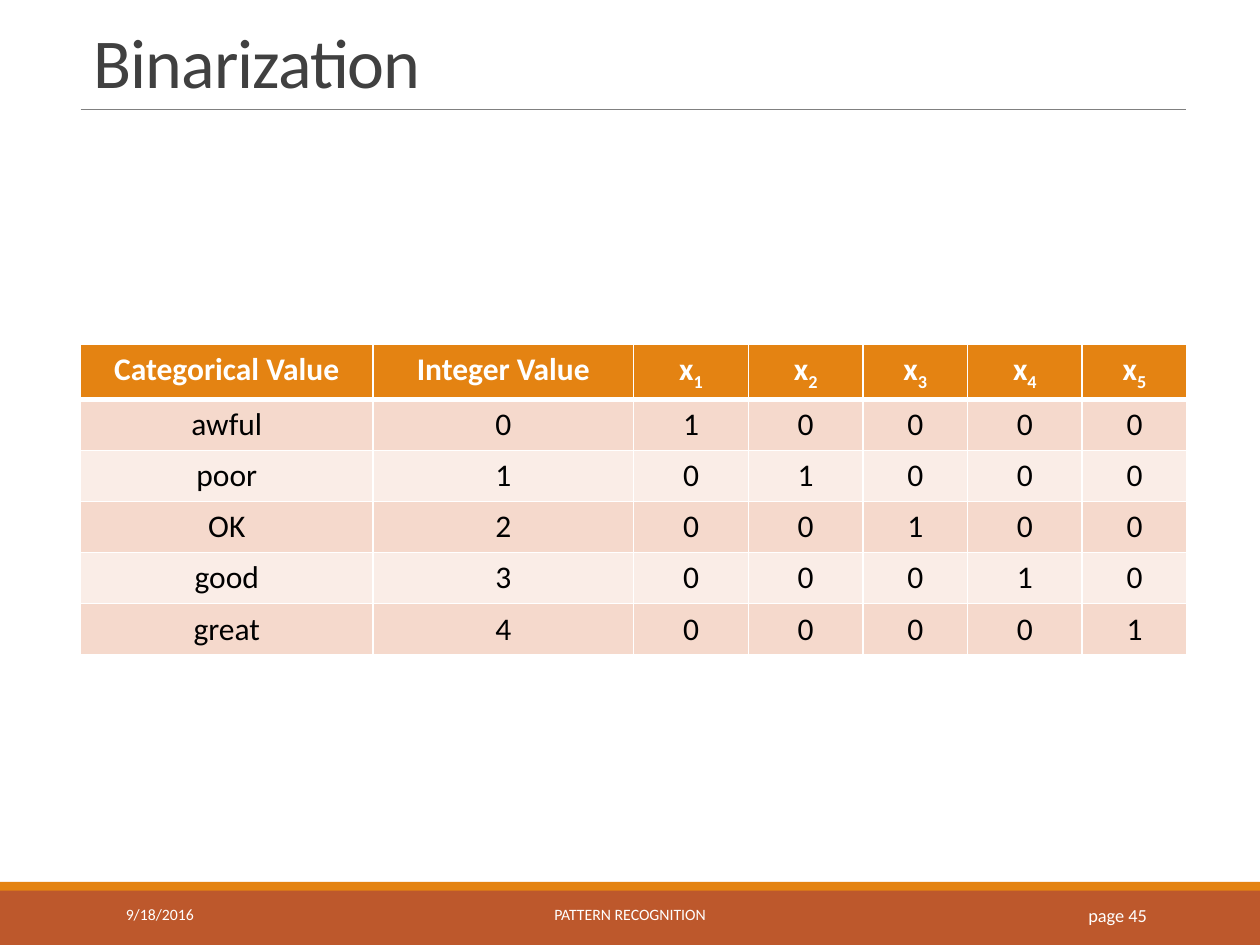
from dataclasses import dataclass

from lxml.etree import SubElement
from pptx import Presentation
from pptx.dml.color import RGBColor
from pptx.enum.shapes import MSO_CONNECTOR, MSO_SHAPE
from pptx.enum.text import MSO_ANCHOR, PP_ALIGN
from pptx.oxml.ns import qn
from pptx.util import Inches, Pt


@dataclass(frozen=True)
class Theme:
    font: str = "Calibri"
    white: str = "FFFFFF"
    black: str = "000000"
    title: str = "404040"
    rule: str = "808080"
    orange: str = "E48312"
    rust: str = "BD582C"
    bands: tuple = ("F5D9CC", "FAEDE7")
    title_size: float = 40
    table_size: float = 18
    footer_size: float = 9
    page_size: float = 10.5


class SlideBuilder:
    def __init__(self, slide, theme):
        self.slide = slide
        self.theme = theme

    def add_run(self, paragraph, text, size, color, bold=False):
        run = paragraph.add_run()
        run.text = text
        run.font.name = self.theme.font
        run.font.size = Pt(size)
        run.font.bold = bold
        run.font.color.rgb = RGBColor.from_string(color)
        return run

    def title(self, text, left, top, width, height):
        shape = self.slide.shapes.title
        shape.left, shape.top = Inches(left), Inches(top)
        shape.width, shape.height = Inches(width), Inches(height)
        shape.text_frame.vertical_anchor = MSO_ANCHOR.BOTTOM
        paragraph = shape.text_frame.paragraphs[0]
        paragraph.alignment = PP_ALIGN.LEFT
        paragraph.line_spacing = 0.85
        run = self.add_run(paragraph, text, self.theme.title_size, self.theme.title)
        run.font._element.set("spc", "-50")

    def rule(self, left, right, top):
        connector = self.slide.shapes.add_connector(
            MSO_CONNECTOR.STRAIGHT, Inches(left), Inches(top), Inches(right), Inches(top)
        )
        connector.line.color.rgb = RGBColor.from_string(self.theme.rule)
        connector.line.width = Pt(0.5)
        SubElement(connector._element.spPr, qn("a:effectLst"))

    def band(self, top, height, color):
        shape = self.slide.shapes.add_shape(
            MSO_SHAPE.RECTANGLE, 0, Inches(top), Inches(10), Inches(height)
        )
        shape.shadow.inherit = False
        shape.fill.solid()
        shape.fill.fore_color.rgb = RGBColor.from_string(color)
        shape.line.fill.background()

    def footer(self, text, left, width, alignment, size):
        shape = self.slide.shapes.add_textbox(
            Inches(left), Inches(7.06), Inches(width), Inches(0.4)
        )
        shape.text_frame.word_wrap = True
        shape.text_frame.vertical_anchor = MSO_ANCHOR.MIDDLE
        paragraph = shape.text_frame.paragraphs[0]
        paragraph.alignment = alignment
        self.add_run(paragraph, text, size, self.theme.white)

    def border(self, cell, side, width):
        properties = cell._tc.get_or_add_tcPr()
        line = SubElement(properties, qn(f"a:ln{side}"), w=str(Pt(width)))
        fill = SubElement(line, qn("a:solidFill"))
        SubElement(fill, qn("a:srgbClr"), val=self.theme.white)

    def cell(self, cell, text, subscript, row):
        header = row == 0
        heavy_side = {0: "B", 1: "T"}.get(row)
        for side in "LRTB":
            self.border(cell, side, 3 if side == heavy_side else 1)
        cell.fill.solid()
        color = self.theme.orange if header else self.theme.bands[(row - 1) % 2]
        cell.fill.fore_color.rgb = RGBColor.from_string(color)
        paragraph = cell.text_frame.paragraphs[0]
        paragraph.alignment = PP_ALIGN.CENTER
        text_color = self.theme.white if header else self.theme.black
        self.add_run(paragraph, text, self.theme.table_size, text_color, header)
        if subscript:
            run = self.add_run(
                paragraph, subscript, self.theme.table_size, text_color, header
            )
            run.font._element.set("baseline", "-25000")

    def table(self, rows, left, top, widths, height):
        table = self.slide.shapes.add_table(
            len(rows), len(widths), Inches(left), Inches(top),
            Inches(sum(widths)), Inches(height),
        ).table
        for column, width in zip(table.columns, widths):
            column.width = Inches(width)
        for row_index, row in enumerate(rows):
            for column_index, (text, subscript) in enumerate(row):
                self.cell(table.cell(row_index, column_index), text, subscript, row_index)


def main():
    presentation = Presentation()
    presentation.slide_width, presentation.slide_height = Inches(10), Inches(7.5)
    theme = Theme()
    slide = presentation.slides.add_slide(presentation.slide_layouts[5])
    builder = SlideBuilder(slide, theme)

    builder.rule(0.64, 9.41, 0.87)
    builder.band(7.06, 0.44, theme.rust)
    builder.band(7, 0.07, theme.orange)
    builder.title("Binarization", 0.64, 0.13, 8.77, 0.74)

    categories = ["awful", "poor", "OK", "good", "great"]
    indices = range(len(categories))
    rows = [
        [("Categorical Value", ""), ("Integer Value", "")]
        + [("x", str(index + 1)) for index in indices]
    ]
    for value, category in enumerate(categories):
        indicators = [(str(int(index == value)), "") for index in indices]
        rows.append([(category, ""), (str(value), "")] + indicators)
    widths = [2.32, 2.07, 0.91, 0.91, 0.83, 0.91, 0.83]
    builder.table(rows, 0.64, 2.73, widths, 2.43)

    builder.footer("9/18/2016", 0.9, 2.03, PP_ALIGN.LEFT, theme.footer_size)
    builder.footer("PATTERN RECOGNITION", 3.02, 3.96, PP_ALIGN.CENTER, theme.footer_size)
    builder.footer("page 45", 8.12, 1.08, PP_ALIGN.RIGHT, theme.page_size)

    presentation.save("out.pptx")


if __name__ == "__main__":
    main()
